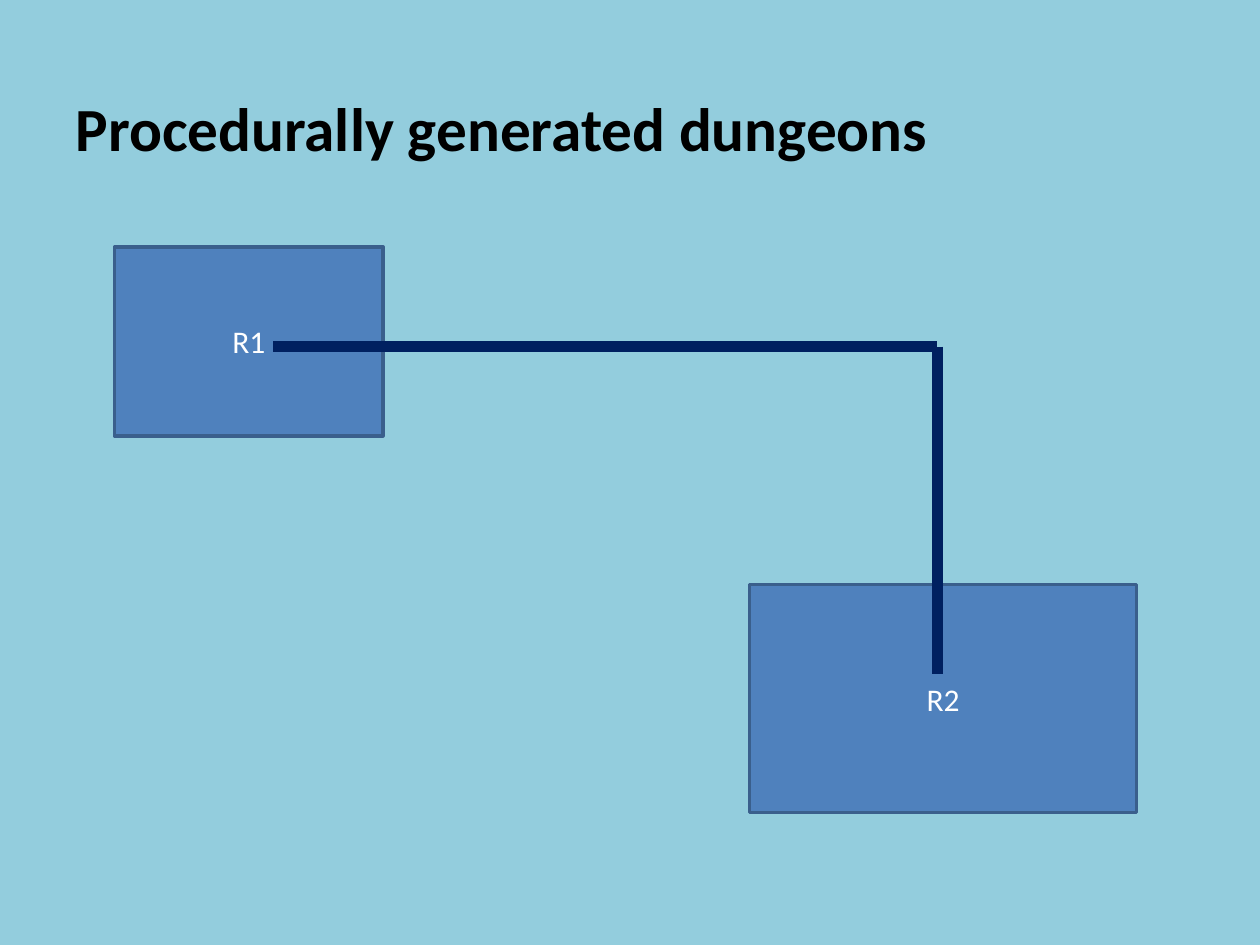
"""Build a slide showing two dungeon rooms joined by an L-shaped corridor."""
from pptx import Presentation
from pptx import util as u
from pptx.dml.color import RGBColor
from pptx.enum import shapes, text
from pptx.oxml.ns import qn
from lxml import etree

COLORS = {"background": "93CDDD", "title": "000000", "room": "4F81BD",
          "outline": "3A5F8C", "label": "FFFFFF", "corridor": "002060"}
TITLE_FONT = {"name": "Calibri", "size": u.Pt(35), "bold": True}
LABEL_FONT = {"name": "Calibri", "size": u.Pt(18)}
ROOMS = [("R1", 0.91, 1.96, 2.13, 1.5), ("R2", 5.95, 4.64, 3.07, 1.81)]
CORRIDOR = [(2.17, 2.75), (7.44, 2.75), (7.44, 5.35)]


def write(tf, words, font, color, align):
    p = tf.paragraphs[0]
    p.alignment = align
    r = p.add_run()
    r.text = words
    for name, value in font.items():
        setattr(r.font, name, value)
    r.font.color.rgb = RGBColor.from_string(COLORS[color])


prs = Presentation()
prs.slide_width, prs.slide_height = u.Inches(10), u.Inches(7.5)
s = prs.slides.add_slide(prs.slide_layouts[5])
s.background.fill.solid()
s.background.fill.fore_color.rgb = RGBColor.from_string(COLORS["background"])

title = s.shapes.title
title.left, title.top, title.width, title.height = map(u.Inches, (0, 0, 10, 1.36))
tf = title.text_frame
frame = {"margin_left": u.Inches(0.6), "margin_bottom": u.Inches(0.06), "word_wrap": True,
         "auto_size": text.MSO_AUTO_SIZE.NONE, "vertical_anchor": text.MSO_ANCHOR.BOTTOM}
for name, value in frame.items():
    setattr(tf, name, value)
write(tf, "Procedurally generated dungeons", TITLE_FONT, "title", text.PP_ALIGN.LEFT)

for label, *box in ROOMS:
    sp = s.shapes.add_shape(shapes.MSO_SHAPE.RECTANGLE, *map(u.Inches, box))
    sp.shadow.inherit = False
    sp.fill.solid()
    sp.fill.fore_color.rgb = RGBColor.from_string(COLORS["room"])
    sp.line.color.rgb = RGBColor.from_string(COLORS["outline"])
    sp.line.width = u.Pt(2)
    sp.text_frame.vertical_anchor = text.MSO_ANCHOR.MIDDLE
    write(sp.text_frame, label, LABEL_FONT, "label", text.PP_ALIGN.CENTER)

for start, end in zip(CORRIDOR, CORRIDOR[1:]):
    line = s.shapes.add_connector(shapes.MSO_CONNECTOR.STRAIGHT, *map(u.Inches, start + end))
    line.line.color.rgb = RGBColor.from_string(COLORS["corridor"])
    line.line.width = u.Pt(6)
    etree.SubElement(line._element.spPr, qn("a:effectLst"))

prs.save("out.pptx")
